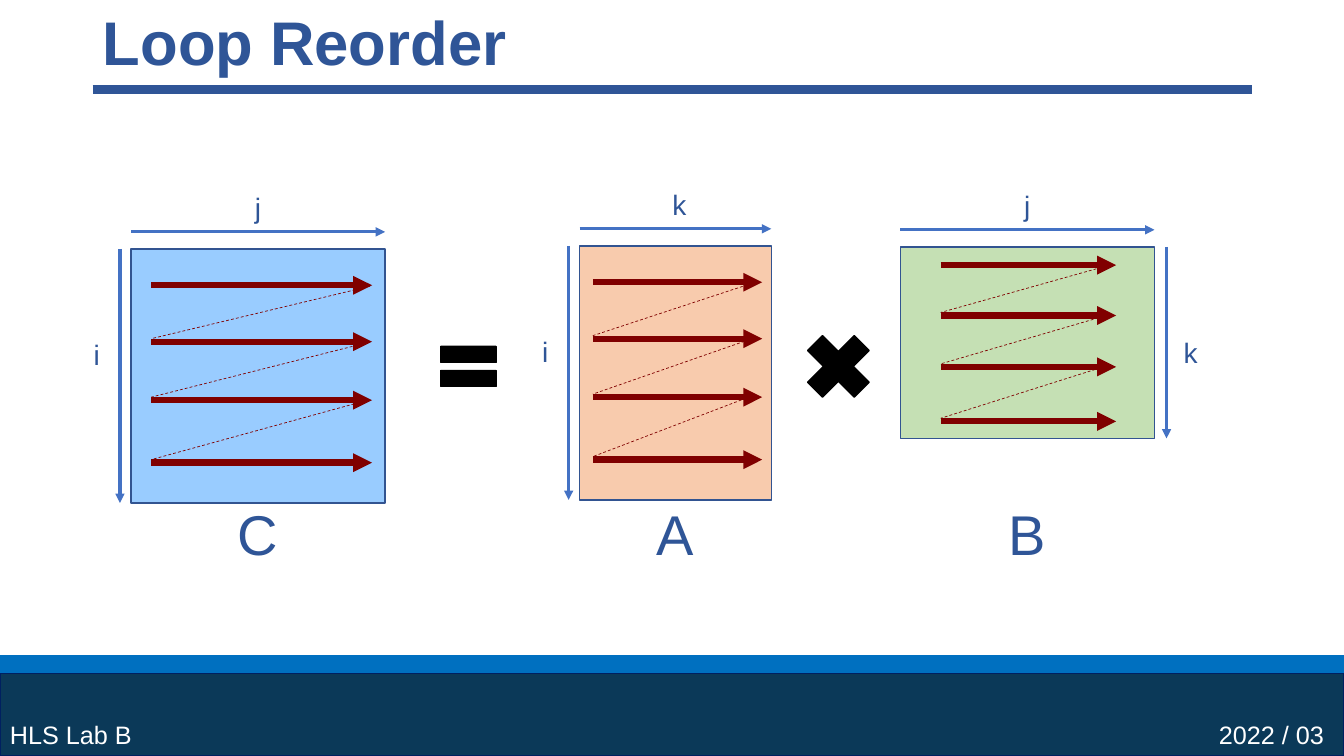
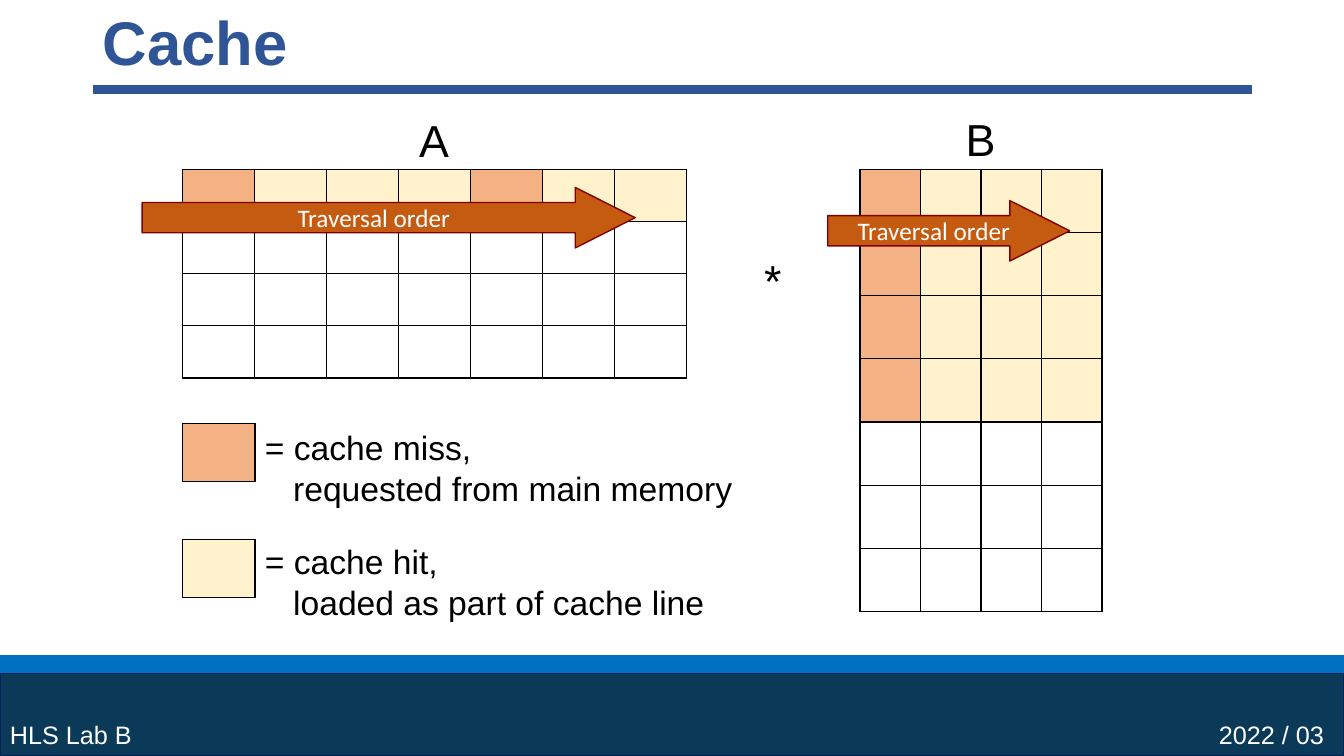
from dataclasses import dataclass

from lxml import etree
from pptx import Presentation
from pptx.dml.color import RGBColor
from pptx.enum.dml import MSO_LINE
from pptx.enum.shapes import MSO_CONNECTOR, MSO_SHAPE
from pptx.enum.text import MSO_ANCHOR, PP_ALIGN
from pptx.oxml.ns import qn
from pptx.util import Inches, Pt

RECTANGLE = MSO_SHAPE.RECTANGLE
EQUAL = MSO_SHAPE.MATH_EQUAL
MULTIPLY = MSO_SHAPE.MATH_MULTIPLY
RIGHT_ARROW = MSO_SHAPE.RIGHT_ARROW
STRAIGHT = MSO_CONNECTOR.STRAIGHT
DASH = MSO_LINE.DASH
MIDDLE = MSO_ANCHOR.MIDDLE
LEFT, CENTER = PP_ALIGN.LEFT, PP_ALIGN.CENTER
TITLE_ONLY = 5
SLIDE_WIDTH, SLIDE_HEIGHT = 13.33, 7.5


@dataclass(frozen=True)
class Theme:
    font: str = "Arial"
    arrow_font: str = "Calibri"
    title_size: int = 44
    matrix_size: int = 40
    table_size: int = 32
    legend_size: int = 24
    index_size: int = 20
    small_size: int = 18
    heading: str = "2F5597"
    band: str = "0B3958"
    band_line: str = "002060"
    stripe: str = "0070C0"
    index_arrow: str = "4472C4"
    outline: str = "325491"
    sweep: str = "800000"
    traversal: str = "C55A11"
    blue: str = "99CCFF"
    orange: str = "F8CBAD"
    green: str = "C5E0B4"
    miss: str = "F4B183"
    hit: str = "FFF2CC"
    black: str = "000000"
    white: str = "FFFFFF"


THEME = Theme()


@dataclass(frozen=True)
class Matrix:
    name: str
    left: float
    top: float
    width: float
    height: float
    fill: str
    column_index: str
    row_index: str
    sweep_left: float
    sweep_right: float
    sweep_offsets: tuple
    return_gap: float = 0.1
    rows_on_right: bool = False


TALL_SWEEPS = (0.36, 0.92, 1.5, 2.12)
WIDE_SWEEPS = (0.18, 0.68, 1.19, 1.73)
MATRICES = (
    Matrix("C", 1.3, 2.47, 2.52, 2.52, THEME.blue, "j", "i",
           1.5, 3.69, TALL_SWEEPS, return_gap=0.02),
    Matrix("A", 5.75, 2.44, 1.9, 2.52, THEME.orange, "k", "i",
           5.88, 7.56, TALL_SWEEPS),
    Matrix("B", 8.93, 2.45, 2.52, 1.9, THEME.green, "j", "k",
           9.33, 11.07, WIDE_SWEEPS, rows_on_right=True),
)


def rgb(color):
    return RGBColor.from_string(color)


def format_paragraph(paragraph, size, color, font=THEME.font, bold=False,
                     align=LEFT):
    paragraph.alignment = align
    values = {"size": Pt(size), "name": font, "bold": bold}
    for name, value in values.items():
        setattr(paragraph.font, name, value)
    paragraph.font.color.rgb = rgb(color)


def add_text(slide, lines, left, top, width, size, color, align=LEFT,
             hanging=0):
    """Add a text box; lines after the first are indented by hanging inches."""
    height = len(lines) * size * 1.2 / 72 + 0.1
    box = slide.shapes.add_textbox(Inches(left), Inches(top), Inches(width),
                                   Inches(height))
    frame = box.text_frame
    frame.word_wrap = True
    frame.text = "\n".join(lines)
    for number, paragraph in enumerate(frame.paragraphs):
        format_paragraph(paragraph, size, color, align=align)
        if number and hanging:
            properties = paragraph._p.get_or_add_pPr()
            properties.set("marL", str(Inches(hanging)))


def add_box(slide, kind, left, top, width, height, fill, line, line_width=1):
    shape = slide.shapes.add_shape(kind, Inches(left), Inches(top),
                                   Inches(width), Inches(height))
    shape.shadow.inherit = False
    shape.fill.solid()
    shape.fill.fore_color.rgb = rgb(fill)
    shape.line.color.rgb = rgb(line)
    shape.line.width = Pt(line_width)
    return shape


def add_line(slide, start, end, color, width, arrow=False, dash=None):
    connector = slide.shapes.add_connector(
        STRAIGHT, *(Inches(value) for value in (*start, *end)))
    connector.line.color.rgb = rgb(color)
    connector.line.width = Pt(width)
    if dash:
        connector.line.dash_style = dash
    properties = connector._element.spPr
    if arrow:
        outline = properties.find(qn("a:ln"))
        etree.SubElement(outline, qn("a:tailEnd"), type="triangle")
    etree.SubElement(properties, qn("a:effectLst"))


def set_borders(cell, color):
    properties = cell._tc.get_or_add_tcPr()
    for position, side in enumerate(("a:lnL", "a:lnR", "a:lnT", "a:lnB")):
        line = etree.Element(qn(side), w=str(Pt(1)))
        fill = etree.SubElement(line, qn("a:solidFill"))
        etree.SubElement(fill, qn("a:srgbClr"), val=color)
        properties.insert(position, line)


def add_grid(slide, left, top, width, height, fills):
    """Add an equal-celled table; a fill of None leaves its cell clear."""
    rows, columns = len(fills), len(fills[0])
    table = slide.shapes.add_table(rows, columns, Inches(left), Inches(top),
                                   Inches(width), Inches(height)).table
    table.first_row = table.horz_banding = False
    for row, row_fills in enumerate(fills):
        for column, color in enumerate(row_fills):
            cell = table.cell(row, column)
            if color:
                cell.fill.solid()
                cell.fill.fore_color.rgb = rgb(color)
            else:
                cell.fill.background()
            set_borders(cell, THEME.black)


def add_titled_slide(presentation, title):
    """Add a slide with the shared title, rule, bands and footer."""
    slide = presentation.slides.add_slide(
        presentation.slide_layouts[TITLE_ONLY])
    placeholder = slide.shapes.title
    bounds = {"left": 0.92, "top": 0, "width": 11, "height": 0.91}
    for name, value in bounds.items():
        setattr(placeholder, name, Inches(value))
    placeholder.text_frame.text = title
    placeholder.text_frame.vertical_anchor = MIDDLE
    paragraph = placeholder.text_frame.paragraphs[0]
    paragraph.line_spacing = 0.9
    format_paragraph(paragraph, THEME.title_size, THEME.heading, bold=True)

    add_line(slide, (0.92, 0.89), (12.42, 0.89), THEME.heading, 6)
    add_box(slide, RECTANGLE, 0, 6.68, SLIDE_WIDTH, 0.82,
            THEME.band, THEME.band_line)
    add_box(slide, RECTANGLE, 0, 6.51, SLIDE_WIDTH, 0.16,
            THEME.stripe, THEME.stripe)
    for text, left in (("HLS Lab B", 0), ("2022 / 03", 11.99)):
        add_text(slide, [text], left, 7.09, 1.34 if left else 1.6,
                 THEME.small_size, THEME.white)
    return slide


def add_sweeps(slide, matrix):
    """Draw the row-by-row reading order inside a matrix."""
    left, right = matrix.sweep_left, matrix.sweep_right
    heights = [matrix.top + offset for offset in matrix.sweep_offsets]
    for y in heights:
        add_line(slide, (left, y), (right, y), THEME.sweep, 4.5, arrow=True)
    for number, (y, next_y) in enumerate(zip(heights, heights[1:])):
        start = right - matrix.return_gap - 0.03 * number
        add_line(slide, (start, y + 0.01), (left, next_y - 0.03),
                 THEME.sweep, 0.5, dash=DASH)


def add_matrix(slide, matrix):
    left, top = matrix.left, matrix.top
    right, bottom = left + matrix.width, top + matrix.height
    center = left + matrix.width / 2
    add_box(slide, RECTANGLE, left, top, matrix.width, matrix.height,
            matrix.fill, THEME.outline)
    add_text(slide, [matrix.name], center - 0.5, 4.91, 1,
             THEME.matrix_size, THEME.heading, CENTER)

    column_y = top - 0.17
    row_x = right + 0.12 if matrix.rows_on_right else left - 0.11
    row_label_left = right + 0.19 if matrix.rows_on_right else left - 0.47
    for start, end in (((left, column_y), (right, column_y)),
                       ((row_x, top), (row_x, bottom))):
        add_line(slide, start, end, THEME.index_arrow, 2.25, arrow=True)
    for text, x, y in ((matrix.column_index, center - 0.13, top - 0.63),
                       (matrix.row_index, row_label_left, top + 0.83)):
        add_text(slide, [text], x, y, 0.4, THEME.index_size, THEME.heading)
    add_sweeps(slide, matrix)


def add_traversal_arrow(slide, left, top, width):
    arrow = add_box(slide, RIGHT_ARROW, left, top, width, 0.6,
                    THEME.traversal, THEME.sweep)
    arrow.adjustments[0], arrow.adjustments[1] = 0.5, 0.99
    arrow.text_frame.text = "Traversal order"
    arrow.text_frame.vertical_anchor = MIDDLE
    format_paragraph(arrow.text_frame.paragraphs[0], THEME.small_size,
                     THEME.white, font=THEME.arrow_font, align=CENTER)


def add_legend_entry(slide, color, swatch_top, text_top, lines):
    add_grid(slide, 1.81, swatch_top, 0.72, 0.58, [[color]])
    add_text(slide, lines, 2.53, text_top, 5.2, THEME.legend_size,
             THEME.black, hanging=0.28)


def build_loop_reorder(presentation):
    slide = add_titled_slide(presentation, "Loop Reorder")
    for matrix in MATRICES:
        add_matrix(slide, matrix)
    add_box(slide, EQUAL, 4.27, 3.29, 0.75, 0.68,
            THEME.black, THEME.black, 0.25)
    add_box(slide, MULTIPLY, 7.87, 3.19, 0.89, 0.89,
            THEME.black, THEME.black)


def build_cache(presentation):
    slide = add_titled_slide(presentation, "Cache")
    cache_line = [THEME.miss] + [THEME.hit] * 3
    add_grid(slide, 1.81, 1.68, 5, 2.07,
             [(cache_line * 2)[:7]] + [[None] * 7] * 3)
    add_grid(slide, 8.53, 1.68, 2.4, 4.39,
             [cache_line] * 4 + [[None] * 4] * 3)
    for text, left, top in (("A", 4.06, 1.07), ("*", 7.48, 2.46),
                            ("B", 9.48, 1.06)):
        add_text(slide, [text], left, top, 0.6, THEME.table_size, THEME.black)
    add_legend_entry(slide, THEME.miss, 4.2, 4.19,
                     ["= cache miss,", "requested from main memory"])
    add_legend_entry(slide, THEME.hit, 5.35, 5.32,
                     ["= cache hit,", "loaded as part of cache line"])
    add_traversal_arrow(slide, 1.41, 1.86, 4.89)
    add_traversal_arrow(slide, 8.21, 1.99, 2.4)


def main():
    presentation = Presentation()
    presentation.slide_width = Inches(SLIDE_WIDTH)
    presentation.slide_height = Inches(SLIDE_HEIGHT)
    build_loop_reorder(presentation)
    build_cache(presentation)
    presentation.save("out.pptx")


if __name__ == "__main__":
    main()
